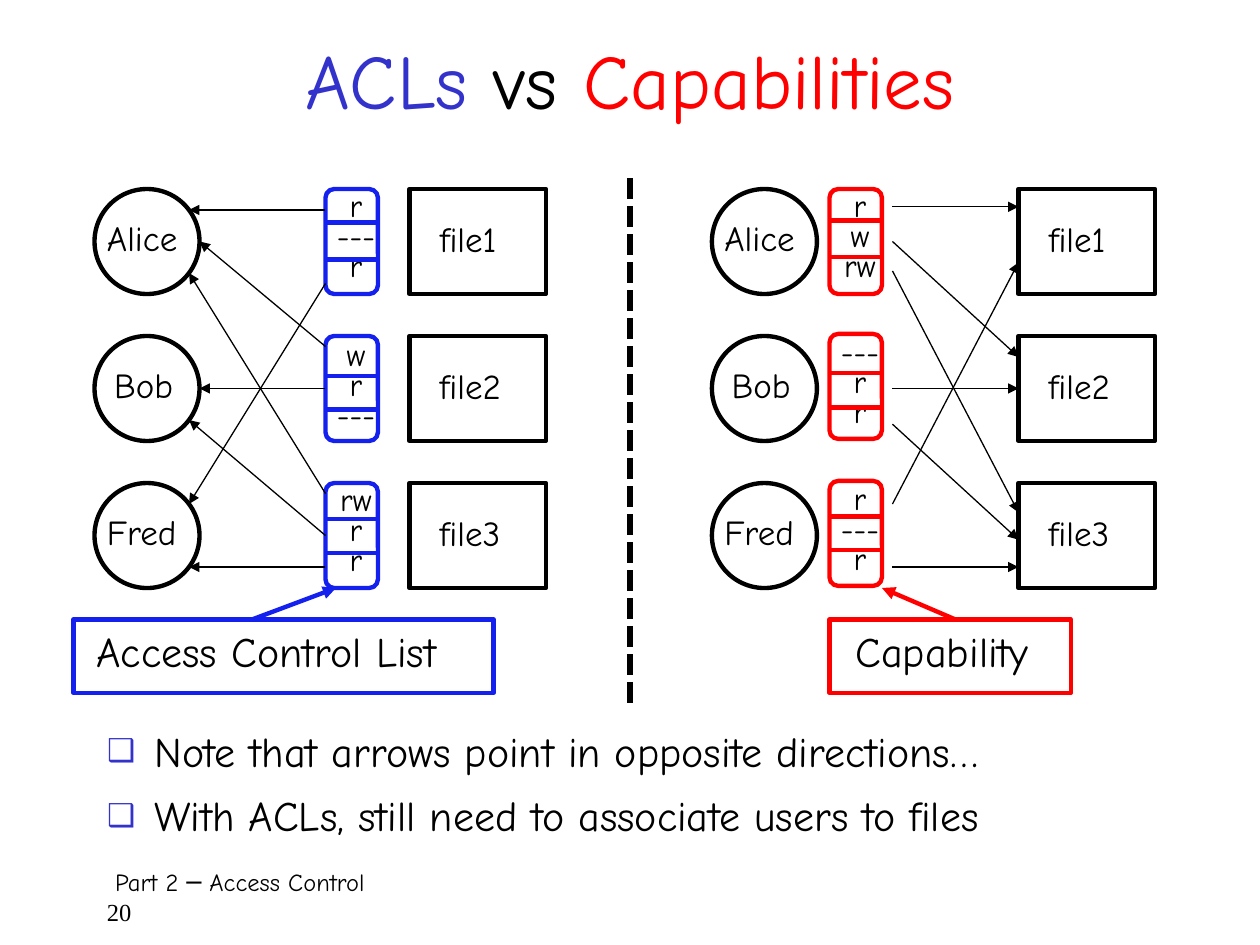
from lxml import etree
from pptx import Presentation
from pptx.dml.color import RGBColor
from pptx.enum.dml import MSO_LINE
from pptx.enum.shapes import MSO_CONNECTOR, MSO_SHAPE
from pptx.enum.text import MSO_ANCHOR, MSO_AUTO_SIZE, PP_ALIGN
from pptx.oxml.ns import qn
from pptx.util import Pt

PX = 7620
COLORS = {"ink": "000000", "acl": "1320EE", "capability": "FF0000", "accent": "3333CC"}
FONT, NUMBER_FONT = "Comic Neue", "Times New Roman"
RECT, ROUNDED, OVAL = MSO_SHAPE.RECTANGLE, MSO_SHAPE.ROUNDED_RECTANGLE, MSO_SHAPE.OVAL
STRAIGHT, SQUARE_DOTS = MSO_CONNECTOR.STRAIGHT, MSO_LINE.SQUARE_DOT
LEFT, CENTER = PP_ALIGN.LEFT, PP_ALIGN.CENTER
TOP, MIDDLE = MSO_ANCHOR.TOP, MSO_ANCHOR.MIDDLE
NO_FIT, GROW = MSO_AUTO_SIZE.NONE, MSO_AUTO_SIZE.SHAPE_TO_FIT_TEXT

PITCH, SIDE = 140, 100
LIST_WIDTH, FILE_WIDTH = 50, 130
USERS = [("Alice", 0, 102), ("Bob", 7, 83), ("Fred", 0, 98)]
FILES = [("file1", 92), ("file2", 98), ("file3", 98)]

ACL = {
    "color": "acl", "list_x": 220, "file_x": 300,
    "lists": [(0, -2, ("r", "---", "r"), (32, 67)),
              (140, 0, ("w", "r", "---"), (38, 70)),
              (280, -2, ("rw", "r", "r"), (34, 67))],
    "arrows": [((220, 20), (90, 20)), ((220, 150), (100, 50)), ((220, 290), (90, 80)),
               ((220, 190), (100, 190)), ((220, 330), (90, 220)),
               ((220, 360), (90, 360)), ((220, 90), (90, 300))],
}
CAPABILITY = {
    "color": "capability", "list_x": 112, "file_x": 292,
    "lists": [(0, -2, ("r", "w", "rw"), (30, 65)),
              (138, -1, ("---", "r", "r"), (37, 70)),
              (278, -1, ("r", "---", "r"), (34, 66))],
    "arrows": [((172, start), (292, end)) for start, end in
               ((17, 17), (50, 160), (78, 308), (190, 190),
                (360, 360), (300, 70), (224, 334))],
}


def rgb(color):
    """Return the named colour."""
    return RGBColor.from_string(COLORS[color])


def place(shape, box):
    """Move a shape to a box in px."""
    shape.left, shape.top, shape.width, shape.height = (v * PX for v in box)


def add_run(paragraph, text, size, color="ink", font=FONT):
    """Append one formatted run."""
    run = paragraph.add_run()
    run.text = text
    run.font.size, run.font.name = Pt(size), font
    run.font.color.rgb = rgb(color)


def add_label(slide, box, lines, size, align=LEFT, spacing=None):
    """Add an unwrapped text box with one paragraph per line."""
    label = slide.shapes.add_textbox(*(v * PX for v in box))
    frame = label.text_frame
    frame.word_wrap, frame.auto_size = False, GROW
    for index, line in enumerate(lines):
        paragraph = frame.add_paragraph() if index else frame.paragraphs[0]
        paragraph.alignment, paragraph.line_spacing = align, spacing
        add_run(paragraph, line, size)


def add_outline(slide, kind, box, color="ink"):
    """Add an unfilled preset shape."""
    outline = slide.shapes.add_shape(kind, *(v * PX for v in box))
    outline.shadow.inherit = False
    outline.fill.background()
    outline.line.color.rgb, outline.line.width = rgb(color), Pt(2.5)


def add_line(slide, start, end, color="ink", width=2.5, arrow=False):
    """Add a straight line, with an arrowhead at its end if asked."""
    line = slide.shapes.add_connector(STRAIGHT, *(v * PX for v in (*start, *end)))
    line.line.color.rgb, line.line.width = rgb(color), Pt(width)
    if arrow:
        etree.SubElement(line.line._get_or_add_ln(), qn("a:tailEnd"), type="triangle")
    etree.SubElement(line._element.spPr, qn("a:effectLst"))
    return line


def add_permission_list(slide, x, y, label_shift, rights, dividers, color):
    """Draw one three-row list of rights."""
    add_outline(slide, ROUNDED, (x, y, LIST_WIDTH, SIDE), color)
    add_label(slide, (x - 1, y + label_shift, 60, 113), rights, 18, CENTER, 0.8)
    for offset in dividers:
        add_line(slide, (x, y + offset), (x + LIST_WIDTH, y + offset), color)


def add_panel(slide, left, top, model):
    """Draw users, files, lists of rights and arrows of one model."""
    for row, (user, shift, width) in enumerate(USERS):
        y = top + row * PITCH
        add_outline(slide, OVAL, (left, y, SIDE, SIDE))
        add_label(slide, (left + shift, y + 20, width, 59), [user], 20)
    for row, (file, width) in enumerate(FILES):
        x, y = left + model["file_x"], top + row * PITCH
        add_outline(slide, RECT, (x, y, FILE_WIDTH, SIDE))
        add_label(slide, (x + 17, y + 21, width, 59), [file], 20)
    for offset, label_shift, rights, dividers in model["lists"]:
        add_permission_list(slide, left + model["list_x"], top + offset,
                            label_shift, rights, dividers, model["color"])
    for (x1, y1), (x2, y2) in model["arrows"]:
        add_line(slide, (left + x1, top + y1), (left + x2, top + y2),
                 width=0.75, arrow=True)


def add_callout(slide, box, text, label_x, label_width, tail_x, tip, color):
    """Draw a framed caption pointing at a list."""
    left, top, _, height = box
    add_outline(slide, RECT, box, color)
    add_label(slide, (left + label_x, top, label_width, height - 2), [text], 24)
    add_line(slide, (left + tail_x, top), tip, color, arrow=True)


def fill_title(title, box):
    """Write the three-coloured title."""
    place(title, box)
    frame = title.text_frame
    frame.auto_size, frame.vertical_anchor = NO_FIT, MIDDLE
    paragraph = frame.paragraphs[0]
    paragraph.alignment = CENTER
    for text, color in (("ACLs ", "accent"), ("vs ", "ink"), ("Capabilities", "capability")):
        add_run(paragraph, text, 44, color)


def fill_notes(body, box):
    """Write the bulleted remarks."""
    place(body, box)
    frame = body.text_frame
    frame.auto_size, frame.vertical_anchor = NO_FIT, TOP
    remarks = ("Note that arrows point in opposite directions…",
               "With ACLs, still need to associate users to files")
    for index, remark in enumerate(remarks):
        paragraph = frame.add_paragraph() if index else frame.paragraphs[0]
        paragraph.line_spacing = 0.9
        paragraph.space_before, paragraph.space_after = Pt(4.8), Pt(6)
        props = paragraph._p.get_or_add_pPr()
        props.set("marL", str(45 * PX))
        props.set("indent", str(-45 * PX))
        tint = etree.SubElement(props, qn("a:buClr"))
        etree.SubElement(tint, qn("a:srgbClr"), val=COLORS["accent"])
        etree.SubElement(props, qn("a:buSzPct"), val="75000")
        etree.SubElement(props, qn("a:buChar"), char="❑")
        add_run(paragraph, remark, 24)


def add_footer(slide, box):
    """Write the part name and the page number."""
    frame = slide.shapes.add_textbox(*(v * PX for v in box)).text_frame
    frame.word_wrap = True
    part = frame.paragraphs[0]
    part._p.get_or_add_pPr().set("marL", str(8 * PX))
    add_run(part, "Part 2 ─ Access Control", 14)
    add_run(frame.add_paragraph(), "20", 14, font=NUMBER_FONT)


def main():
    """Build and save the slide."""
    deck = Presentation()
    deck.slide_width, deck.slide_height = 1200 * PX, 900 * PX
    slide = deck.slides.add_slide(deck.slide_layouts[1])
    fill_title(slide.shapes.title, (90, 20, 1020, 110))
    fill_notes(slide.placeholders[1], (90, 690, 1020, 130))
    add_panel(slide, 90, 180, ACL)
    add_panel(slide, 678, 180, CAPABILITY)
    add_line(slide, (600, 170), (600, 670), width=4).line.dash_style = SQUARE_DOTS
    add_callout(slide, (70, 590, 400, 70), "Access Control List", 10, 388, 170,
                (320, 560), "acl")
    add_callout(slide, (790, 590, 230, 70), "Capability", 13, 208, 120,
                (840, 560), "capability")
    add_footer(slide, (90, 820, 1030, 60))
    deck.save("out.pptx")


if __name__ == "__main__":
    main()
